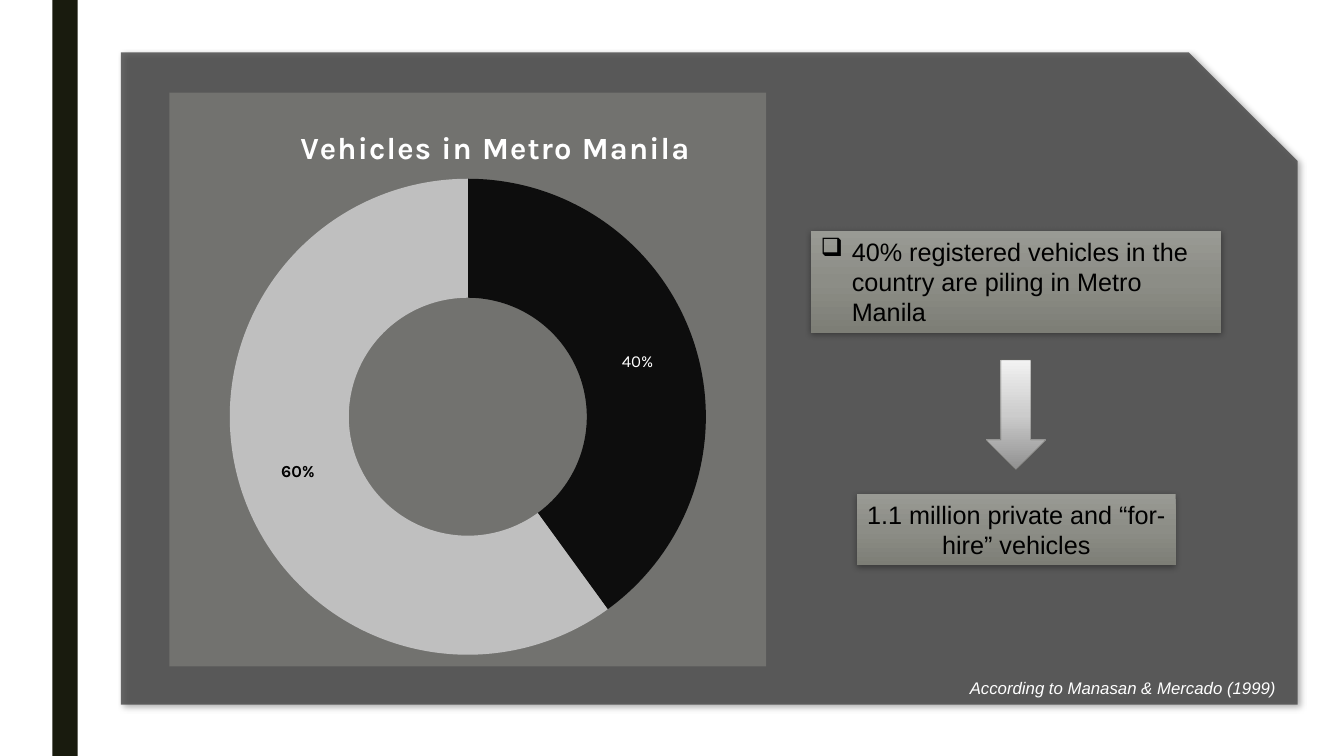
from dataclasses import dataclass
from typing import Optional

from lxml import etree
from pptx import Presentation
from pptx.chart.data import CategoryChartData
from pptx.dml.color import RGBColor
from pptx.enum.chart import XL_CHART_TYPE
from pptx.enum.shapes import MSO_SHAPE
from pptx.enum.text import MSO_ANCHOR, PP_ALIGN
from pptx.oxml import parse_xml
from pptx.oxml.ns import qn
from pptx.util import Inches, Pt

RECT = MSO_SHAPE.RECTANGLE
SNIPPED = MSO_SHAPE.SNIP_1_RECTANGLE
DOWN_ARROW = MSO_SHAPE.DOWN_ARROW
DOUGHNUT = XL_CHART_TYPE.DOUGHNUT
LEFT, CENTER = PP_ALIGN.LEFT, PP_ALIGN.CENTER
TOP = MSO_ANCHOR.TOP
A_NS = "http://schemas.openxmlformats.org/drawingml/2006/main"

COLORS = {
    "stripe": "191B0E", "panel": "404040", "chart": "8C8D86",
    "box_top": "999A94", "box_mid": "8C8D86", "box_end": "7D7E76",
    "arrow_end": "909090", "arrow_mid": "CCCCCC", "arrow_top": "F2F2F2",
    "arrow_line": "686863", "manila": "0D0D0D", "elsewhere": "BFBFBF",
    "white": "FFFFFF", "black": "000000",
}


@dataclass(frozen=True)
class Shadow:
    opacity: int
    blur: float
    distance: float
    angle: int


@dataclass(frozen=True)
class Block:
    kind: int
    at: tuple[float, float, float, float]
    fills: tuple[str, ...]
    angle: int = 90
    opacity: int = 100
    line: Optional[str] = None
    shadow: Optional[Shadow] = None
    text: str = ""
    align: int = LEFT
    bullet: str = ""


@dataclass(frozen=True)
class Share:
    category: str
    value: int
    color: str
    label_color: str
    bold: bool


BOX_FILLS = ("box_top", "box_mid", "box_end")
BOX_SHADOW = Shadow(35, 4.5, 1.5, 90)
STRIPE = Block(RECT, (0.52, 0, 0.25, 7.5), ("stripe",))
PANEL = Block(SNIPPED, (1.2, 0.52, 11.67, 6.47), ("panel",), opacity=78,
              shadow=Shadow(40, 4, 3, 45))
FLOW = (
    Block(RECT, (8.04, 2.29, 4.07, 1.01), BOX_FILLS, shadow=BOX_SHADOW, bullet="❑",
          text="40% registered vehicles in the country are piling in Metro Manila"),
    Block(RECT, (8.5, 4.9, 3.16, 0.71), BOX_FILLS, shadow=BOX_SHADOW, align=CENTER,
          text="1.1 million private and “for-hire” vehicles"),
    Block(DOWN_ARROW, (9.78, 3.57, 0.59, 1.09),
          ("arrow_end", "arrow_mid", "arrow_top"), angle=270, line="arrow_line"),
)
SHARES = (
    Share("1st Qtr", 40, "manila", "white", False),
    Share("2nd Qtr", 60, "elsewhere", "black", True),
)


def rgb(name: str) -> RGBColor:
    return RGBColor.from_string(COLORS[name])


def set_opacity(fill_parent, percent: int) -> None:
    color = fill_parent.find(qn("a:solidFill"))[0]
    etree.SubElement(color, qn("a:alpha"), val=str(percent * 1000))


def set_gradient(shape, names: tuple[str, ...], angle: int) -> None:
    step = 100000 // (len(names) - 1)
    stops = "".join(
        f'<a:gs pos="{i * step}"><a:srgbClr val="{COLORS[name]}"/></a:gs>'
        for i, name in enumerate(names))
    gradient = parse_xml(
        f'<a:gradFill xmlns:a="{A_NS}" rotWithShape="1"><a:gsLst>{stops}</a:gsLst>'
        f'<a:lin ang="{angle * 60000}" scaled="0"/></a:gradFill>')
    props = shape._element.spPr
    props.replace(props.find(qn("a:solidFill")), gradient)


def set_shadow(shape, shadow: Shadow) -> None:
    effects = shape._element.spPr.find(qn("a:effectLst"))
    effects.append(parse_xml(
        f'<a:outerShdw xmlns:a="{A_NS}" blurRad="{Pt(shadow.blur)}" '
        f'dist="{Pt(shadow.distance)}" dir="{shadow.angle * 60000}" algn="ctr" '
        f'rotWithShape="0"><a:srgbClr val="{COLORS["black"]}">'
        f'<a:alpha val="{shadow.opacity * 1000}"/></a:srgbClr></a:outerShdw>'))


def write(frame, text: str, *, size: float, color: str, font: str = "Arial",
          bold: bool = False, italic: bool = False, align: Optional[int] = None,
          bullet: str = "", spacing: int = 0) -> None:
    paragraph = frame.paragraphs[0]
    if align is not None:
        paragraph.alignment = align
    if bullet:
        props = paragraph._p.get_or_add_pPr()
        props.set("marL", str(Inches(0.31)))
        props.set("indent", str(-Inches(0.31)))
        etree.SubElement(props, qn("a:buChar"), char=bullet)
    run = paragraph.add_run()
    run.text = text
    run.font.name, run.font.size = font, Pt(size)
    run.font.bold, run.font.italic = bold, italic
    run.font.color.rgb = rgb(color)
    if spacing:
        run._r.get_or_add_rPr().set("spc", str(spacing))


def add_block(slide, block: Block) -> None:
    shape = slide.shapes.add_shape(block.kind, *map(Inches, block.at))
    shape.shadow.inherit = False
    shape.fill.solid()
    shape.fill.fore_color.rgb = rgb(block.fills[0])
    if len(block.fills) > 1:
        set_gradient(shape, block.fills, block.angle)
    elif block.opacity < 100:
        set_opacity(shape._element.spPr, block.opacity)
    if block.line:
        shape.line.color.rgb = rgb(block.line)
        shape.line.width = Pt(0.25)
    else:
        shape.line.fill.background()
    if block.shadow:
        set_shadow(shape, block.shadow)
    if block.text:
        shape.text_frame.word_wrap = True
        shape.text_frame.vertical_anchor = TOP
        write(shape.text_frame, block.text, size=18, color="black",
              align=block.align, bullet=block.bullet)


def place(chart_part, **layout: float) -> None:
    element = chart_part.find(qn("c:layout"))
    if element is None:
        element = etree.Element(qn("c:layout"))
        text = chart_part.find(qn("c:tx"))
        chart_part.insert(0 if text is None else 1, element)
    manual = etree.SubElement(element, qn("c:manualLayout"))
    if "w" in layout:
        etree.SubElement(manual, qn("c:layoutTarget"), val="inner")
    for axis in "xy":
        etree.SubElement(manual, qn(f"c:{axis}Mode"), val="edge")
    for key, value in layout.items():
        etree.SubElement(manual, qn(f"c:{key}"), val=str(value))


def add_vehicle_chart(slide) -> None:
    data = CategoryChartData()
    data.categories = [share.category for share in SHARES]
    data.add_series("Series 1", [share.value for share in SHARES])
    at = map(Inches, (1.68, 0.92, 5.92, 5.69))
    chart = slide.shapes.add_chart(DOUGHNUT, *at, data).chart
    chart.has_legend = False
    chart.font.name, chart.font.size = "Karla", Pt(10)
    chart.font.color.rgb = rgb("white")
    write(chart.chart_title.text_frame, "Vehicles in Metro Manila", size=22,
          color="white", font="Karla", bold=True, spacing=100)
    chart.chart_title.include_in_layout = False
    place(chart.chart_title._element, x=0.21, y=0.05)

    space = chart._chartSpace
    place(space.chart.plotArea, x=0.1, y=0.15, w=0.8, h=0.83)
    space.find(".//" + qn("c:holeSize")).set("val", "75")
    background = parse_xml(
        '<c:spPr xmlns:c="http://schemas.openxmlformats.org/drawingml/2006/chart" '
        f'xmlns:a="{A_NS}"><a:solidFill><a:srgbClr val="{COLORS["chart"]}"/>'
        '</a:solidFill><a:ln><a:noFill/></a:ln></c:spPr>')
    space.chart.addnext(background)
    set_opacity(background, 50)

    chart.plots[0].vary_by_categories = True
    points = chart.plots[0].series[0].points
    for i, share in enumerate(SHARES):
        points[i].format.fill.solid()
        points[i].format.fill.fore_color.rgb = rgb(share.color)
        points[i].format.line.fill.background()
        write(points[i].data_label.text_frame, f"{share.value}%", size=12,
              color=share.label_color, font="Karla", bold=share.bold)


def main() -> None:
    deck = Presentation()
    deck.slide_width, deck.slide_height = Inches(13.33), Inches(7.5)
    slide = deck.slides.add_slide(deck.slide_layouts[6])
    add_block(slide, STRIPE)
    add_block(slide, PANEL)
    add_vehicle_chart(slide)
    for block in FLOW:
        add_block(slide, block)
    citation = slide.shapes.add_textbox(*map(Inches, (9.52, 6.67, 3.34, 0.3)))
    citation.text_frame.word_wrap = True
    write(citation.text_frame, "According to Manasan & Mercado (1999)", size=12,
          color="white", italic=True)
    deck.save("out.pptx")


if __name__ == "__main__":
    main()
